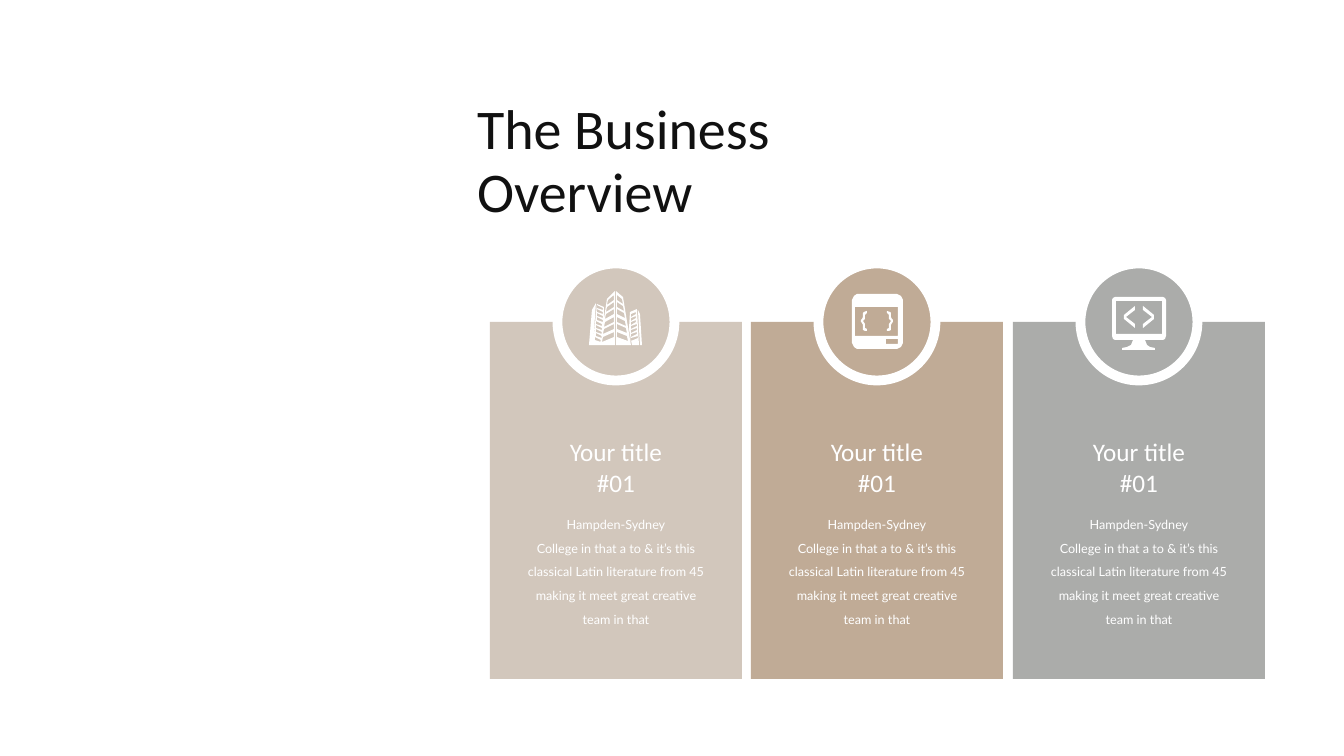
from pptx import Presentation
from pptx.dml.color import RGBColor
from pptx.enum.shapes import MSO_SHAPE
from pptx.enum.text import MSO_ANCHOR, MSO_AUTO_SIZE, PP_ALIGN
from pptx.util import Pt

RECTANGLE, OVAL = MSO_SHAPE.RECTANGLE, MSO_SHAPE.OVAL
LEFT, CENTER = PP_ALIGN.LEFT, PP_ALIGN.CENTER
TOP = MSO_ANCHOR.TOP
FIXED = MSO_AUTO_SIZE.NONE

WHITE, INK = "FFFFFF", "111111"
TITLE = ["The Business", "Overview"]
HEADING = ["Your title", "#01"]
BODY = [
    "Hampden-Sydney",
    "College in that a to & it’s this",
    "classical Latin literature from 45 making it meet great creative team in that",
]


def box(left, top, right, bottom):
    return [(left, top), (right, top), (right, bottom), (left, bottom)]


def mirror(outline):
    return [(-x, y) for x, y in outline]


TOWERS = [
    [(-24, -12), (-27, 23), (-23, 23), (-20, -19)],
    [(24, -8), (22, -12), (24, 23), (26, 23)],
    [(-16, 23), (-1, 23), (-1, -31), (-9, -23)],
    [(0, -31), (0, 23), (15, 23), (7, -25)],
    [(-19, -18), (-12, -15), (-12, -5), (-16, 23), (-23, 23)],
    [(14, -10), (13, 7), (16, 23), (23, 23), (21, -13)],
]
TALL_WINDOWS = []
for floor in range(6):
    y = -27 + floor * 37 // 5
    TALL_WINDOWS += [
        [(-2, y), (-2, y + 5), (-9 - floor, y + 10), (-8 - floor, y + 5)],
        [(1, y), (1, y + 5), (7 + floor, y + 9), (6 + floor, y + 4)],
    ]
LEFT_WINDOWS = [
    [(-19 - n // 4, -17 + 4 * n), (-13 - n // 4, -14 + 4 * n),
     (-13 - n // 4, -12 + 4 * n), (-19 - n // 4, -14 + 4 * n)]
    for n in range(9)
]
RIGHT_WINDOWS = [
    [(15, -8 + 4 * n), (20 + n // 3, -10 + 4 * n),
     (20 + n // 3, -8 + 4 * n), (15, -5 + 4 * n)]
    for n in range(7)
]
BUILDINGS = TOWERS + TALL_WINDOWS + LEFT_WINDOWS + RIGHT_WINDOWS

BRACE = [
    (-10, -11), (-13, -10), (-14, -9), (-14, -5), (-15, -3), (-16, -2), (-16, 0),
    (-15, 1), (-14, 3), (-14, 8), (-12, 9), (-10, 9), (-10, 7), (-12, 6),
    (-12, 2), (-14, -1), (-12, -3), (-12, -7), (-10, -9),
]
TABLET = [
    [(-20, -28), (20, -28), (24, -26), (26, -22), (26, 21), (24, 25), (20, 27),
     (-20, 27), (-23, 25), (-25, 21), (-25, -22), (-23, -26)],
    box(-22, -15, 21, 14),
    box(9, 17, 21, 22),
    BRACE,
    mirror(BRACE),
]

CHEVRON = [(-4, 2), (-13, -5), (-4, -12), (-4, -16), (-15, -7), (-15, -3), (-4, 6)]
MONITOR = [
    [(-24, -25), (24, -25), (26, -24), (27, -22), (27, 14), (26, 17), (24, 18),
     (6, 18), (8, 23), (11, 25), (16, 26), (16, 28), (-17, 28), (-17, 26),
     (-12, 25), (-8, 23), (-6, 18), (-24, 18), (-26, 17), (-27, 14),
     (-27, -22), (-26, -24)],
    box(-23, -21, 23, 12),
    CHEVRON,
    mirror(CHEVRON),
]

CARDS = [("D2C7BC", BUILDINGS), ("C0AB96", TABLET), ("ABACAA", MONITOR)]
CARD_LEFT, CARD_TOP, CARD_WIDTH, CARD_HEIGHT = 490, 322, 252, 357
TWO_CARD_STEPS = 523
BADGE = 117
HEADING_TOP, HEADING_WIDTH, HEADING_HEIGHT = 431, 207, 72
BODY_TOP, BODY_WIDTH, BODY_HEIGHT = 503, 205, 127
PX = 914400 / 100.8


def px(length):
    return round(length * PX)


def color(value):
    return RGBColor.from_string(value)


def write(holder, lines, font, size, ink, spacing, align):
    frame = holder.text_frame
    frame.word_wrap = True
    frame.auto_size = FIXED
    frame.vertical_anchor = TOP
    frame.text = "\n".join(lines)
    for paragraph in frame.paragraphs:
        paragraph.alignment = align
        paragraph.line_spacing = Pt(spacing)
        paragraph.font.name = font
        paragraph.font.size = Pt(size)
        paragraph.font.color.rgb = color(ink)


def paint(shape, fill):
    shape.shadow.inherit = False
    shape.fill.solid()
    shape.fill.fore_color.rgb = color(fill)
    shape.line.fill.background()


def add_filled(slide, kind, left, top, width, height, fill):
    shape = slide.shapes.add_shape(kind, px(left), px(top), px(width), px(height))
    paint(shape, fill)
    return shape


def add_icon(slide, outlines, center_x, center_y):
    builder = slide.shapes.build_freeform(*outlines[0][0], scale=PX)
    builder.add_line_segments(outlines[0][1:])
    for outline in outlines[1:]:
        builder.move_to(*outline[0])
        builder.add_line_segments(outline[1:])
    paint(builder.convert_to_shape(px(center_x), px(center_y)), WHITE)


def add_centered_text(slide, lines, center, top, width, height, font, size, spacing):
    holder = slide.shapes.add_textbox(
        px(center - width / 2), px(top), px(width), px(height))
    write(holder, lines, font, size, WHITE, spacing, CENTER)


def main():
    deck = Presentation()
    deck.slide_width, deck.slide_height = px(1344), px(756)
    slide = deck.slides.add_slide(deck.slide_layouts[5])

    title = slide.shapes.title
    title.left, title.top, title.width, title.height = px(467), px(93), px(441), px(137)
    write(title, TITLE, "Calibri", 40, INK, 45, LEFT)

    for index, (fill, icon) in enumerate(CARDS):
        left = CARD_LEFT + index * TWO_CARD_STEPS // 2
        center = left + CARD_WIDTH // 2
        add_filled(slide, RECTANGLE, left, CARD_TOP, CARD_WIDTH, CARD_HEIGHT, fill)
        badge = add_filled(slide, OVAL, center - BADGE / 2, CARD_TOP - BADGE / 2,
                           BADGE, BADGE, fill)
        badge.line.color.rgb = color(WHITE)
        badge.line.width = Pt(7)
        add_icon(slide, icon, center, CARD_TOP)
        add_centered_text(slide, HEADING, center, HEADING_TOP, HEADING_WIDTH,
                          HEADING_HEIGHT, "Calibri", 18, 22)
        add_centered_text(slide, BODY, center, BODY_TOP, BODY_WIDTH,
                          BODY_HEIGHT, "Lato", 9, 17)

    deck.save("out.pptx")


if __name__ == "__main__":
    main()
